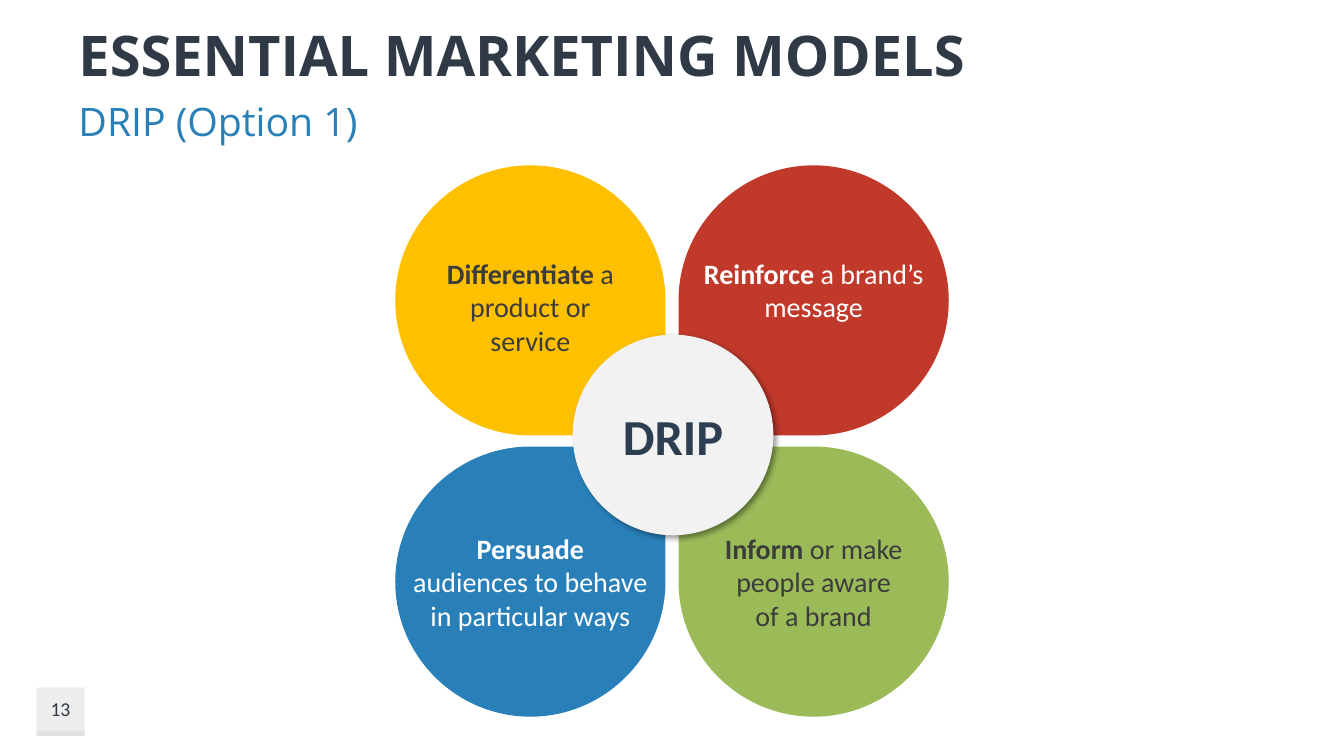
"""Build the DRIP marketing model slide."""
from dataclasses import dataclass

from lxml import etree
from pptx import Presentation, util as u
from pptx.dml.color import RGBColor
from pptx.enum import shapes, text
from pptx.oxml import ns

PX = 9144
COLORS = {
    "white": "FFFFFF", "navy": "2F3A46", "slate": "2C3E50", "ink": "3C3C3C",
    "blue": "2980B9", "yellow": "FFC000", "red": "C0392B", "green": "9BBB59",
    "pale": "F2F2F2", "grey": "BFBFBF", "black": "000000",
}
SIZE = 268
LEFT, RIGHT = 392, 673
TOP, BOTTOM = 164, 443
CURVE = 0.55
MIDDLES = ((1, 0), (2, 1), (1, 2), (0, 1))
CORNERS = ((2, 0), (2, 2), (0, 2), (0, 0))
Runs = tuple[tuple[str, bool], ...]


@dataclass(frozen=True)
class Style:
    size: int
    color: str
    font: str = "Calibri"
    align: text.PP_ALIGN = text.PP_ALIGN.CENTER
    anchor: text.MSO_ANCHOR = text.MSO_ANCHOR.MIDDLE
    insets: tuple[int, int, int, int] = (4, 4, 4, 4)


@dataclass(frozen=True)
class Petal:
    x: int
    y: int
    fill: str
    color: str
    paragraphs: tuple[Runs, ...]


@dataclass(frozen=True)
class Label:
    box: tuple[int, int, int, int]
    words: str
    bold: bool
    style: Style


@dataclass(frozen=True)
class Panel:
    box: tuple[int, int, int, int]
    color: str
    opacity: int


PETALS = (
    Petal(LEFT, TOP, "yellow", "ink",
          ((("Differentiate", True), (" a product or\nservice", False)),)),
    Petal(RIGHT, TOP, "red", "white",
          ((("Reinforce ", True), ("a brand’s\nmessage", False)),)),
    Petal(LEFT, BOTTOM, "blue", "white",
          ((("Persuade", True),), (("audiences to behave", False),),
           (("in particular ways", False),))),
    Petal(RIGHT, BOTTOM, "green", "ink",
          ((("Inform ", True), ("or make people aware\nof a brand", False)),)),
)
HEADING = {"font": "Open Sans", "align": text.PP_ALIGN.LEFT, "insets": (10, 5, 10, 5)}
LABELS = (
    Label((68, 15, 1072, 77), "ESSENTIAL MARKETING MODELS", True,
          Style(40, "navy", **HEADING)),
    Label((68, 92, 1072, 57), "DRIP (Option 1)", False,
          Style(28, "blue", anchor=text.MSO_ANCHOR.TOP, **HEADING)),
    Label((36, 682, 48, 43), "13", False, Style(14, "navy", insets=(0, 0, 0, 0))),
)
PANELS = (
    Panel((36, 682, 48, 48), "grey", 25),
    Panel((36, 725, 48, 5), "grey", 25),
    Panel((1151, 10, 174, 79), "white", 60),
)


def emu(*lengths: int) -> list[int]:
    return [n * PX for n in lengths]


def rgb(name: str) -> RGBColor:
    return RGBColor.from_string(COLORS[name])


def apply(target, values: dict) -> None:
    for name, value in values.items():
        setattr(target, name, value)


def paint(s, color: str) -> None:
    s.shadow.inherit = False
    s.fill.solid()
    s.fill.fore_color.rgb = rgb(color)
    s.line.fill.background()


def write(s, paragraphs: tuple[Runs, ...], style: Style) -> None:
    tf = s.text_frame
    margins = ("margin_left", "margin_top", "margin_right", "margin_bottom")
    apply(tf, {"word_wrap": True, "vertical_anchor": style.anchor,
               **dict(zip(margins, emu(*style.insets)))})
    for i, runs in enumerate(paragraphs):
        p = tf.add_paragraph() if i else tf.paragraphs[0]
        p.alignment = style.align
        for words, bold in runs:
            for j, line in enumerate(words.split("\n")):
                if j:
                    p.add_line_break()
                r = p.add_run()
                r.text = line
                apply(r.font, {"name": style.font, "size": u.Pt(style.size), "bold": bold})
                r.font.color.rgb = rgb(style.color)


def add_label(sp, label: Label) -> None:
    s = sp.add_textbox(*emu(*label.box))
    write(s, (((label.words, label.bold),),), label.style)


def add_panel(sp, panel: Panel) -> None:
    s = sp.add_shape(shapes.MSO_SHAPE.RECTANGLE, *emu(*panel.box))
    paint(s, panel.color)
    clr = s._element.spPr.find(".//" + ns.qn("a:srgbClr"))
    etree.SubElement(clr, ns.qn("a:alpha"), val=str(panel.opacity * 1000))


def bend(segment, points: list[tuple[float, float]]) -> None:
    curve = etree.Element(ns.qn("a:cubicBezTo"))
    for x, y in points:
        etree.SubElement(curve, ns.qn("a:pt"), x=str(round(x)), y=str(round(y)))
    segment.getparent().replace(segment, curve)


def add_petal(sp, petal: Petal) -> None:
    radius = SIZE * PX // 2
    inner = (2 if petal.x == LEFT else 0, 2 if petal.y == TOP else 0)
    ends, curves = [], []
    for i, corner in enumerate(CORNERS):
        start, end = MIDDLES[i], MIDDLES[(i + 1) % 4]
        if corner == inner:
            ends.append(corner)
        else:
            handles = [tuple(a + CURVE * (c - a) for a, c in zip(m, corner))
                       for m in (start, end)]
            curves.append((len(ends), [(x * radius, y * radius) for x, y in (*handles, end)]))
        ends.append(end)
    outline = sp.build_freeform(radius, 0, scale=1.0)
    outline.add_line_segments([(x * radius, y * radius) for x, y in ends], close=True)
    s = outline.convert_to_shape(*emu(petal.x, petal.y))
    segments = list(s._element.spPr.iter(ns.qn("a:lnTo")))
    for index, points in curves:
        bend(segments[index], points)
    paint(s, petal.fill)
    if petal.y == TOP:
        style = Style(20, petal.color, anchor=text.MSO_ANCHOR.TOP, insets=(15, 90, 15, 4))
    else:
        style = Style(20, petal.color, insets=(15, 4, 15, 4))
    write(s, petal.paragraphs, style)


def add_hub(sp) -> None:
    s = sp.add_shape(shapes.MSO_SHAPE.OVAL, *emu(568, 332, 199, 199))
    paint(s, "pale")
    effects = s._element.spPr.find(ns.qn("a:effectLst"))
    shadow = etree.SubElement(effects, ns.qn("a:outerShdw"), blurRad=str(u.Pt(4)),
                              dist=str(u.Pt(3)), dir=str(45 * 60000), algn="tl",
                              rotWithShape="0")
    clr = etree.SubElement(shadow, ns.qn("a:srgbClr"), val=COLORS["black"])
    etree.SubElement(clr, ns.qn("a:alpha"), val="40000")
    write(s, ((("DRIP", True),),), Style(36, "slate"))


def main() -> None:
    prs = Presentation()
    apply(prs, {"slide_width": 1333 * PX, "slide_height": 750 * PX})
    sp = prs.slides.add_slide(prs.slide_layouts[6]).shapes
    for panel in PANELS:
        add_panel(sp, panel)
    for label in LABELS:
        add_label(sp, label)
    for petal in PETALS:
        add_petal(sp, petal)
    add_hub(sp)
    prs.save("out.pptx")


if __name__ == "__main__":
    main()
